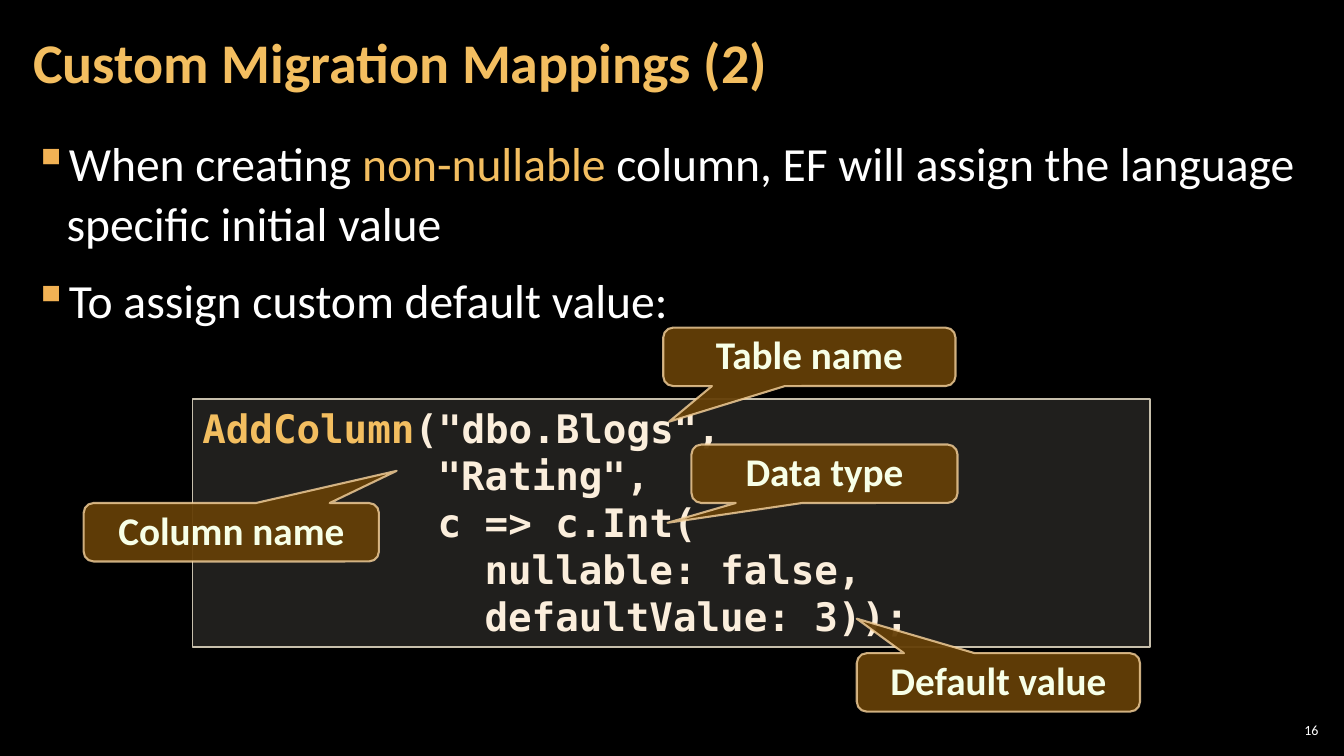
"""Builds the slide on custom migration mappings."""
import dataclasses

import pptx
import pptx.dml.color
import pptx.enum.shapes
import pptx.enum.text
import pptx.oxml
import pptx.oxml.ns
import pptx.util

Pt = pptx.util.Pt
Align = pptx.enum.text.PP_ALIGN
Anchor = pptx.enum.text.MSO_ANCHOR
Shape = pptx.enum.shapes.MSO_SHAPE
qn = pptx.oxml.ns.qn


@dataclasses.dataclass(frozen=True)
class Theme:
    back: str = "000000"
    white: str = "FFFFFF"
    gold: str = "F3BE60"
    bullet: str = "F2B254"
    code: str = "FBEEDC"
    panel: str = "D9D5C7"
    edge: str = "C7BFAC"
    note: str = "643F07"
    rim: str = "F8D49E"
    label: str = "F7FFE7"
    sans: str = "Calibri"
    mono: str = "DejaVu Sans Mono"
    title: int = 40
    body: int = 34
    small: int = 28
    tiny: int = 10


class Deck:
    def __init__(self, theme):
        self.theme = theme
        self.show = pptx.Presentation()
        self.show.slide_width, self.show.slide_height = Pt(960), Pt(540)
        self.slide = self.show.slides.add_slide(self.show.slide_layouts[6])
        self.paint(self.slide.background.fill, theme.back)

    def color(self, code):
        return pptx.dml.color.RGBColor.from_string(code)

    def paint(self, fill, code, alpha=100):
        fill.solid()
        fill.fore_color.rgb = self.color(code)
        if alpha < 100:
            tone = fill._xPr.find(qn("a:solidFill"))[0]
            tone.append(self.node("alpha", val=alpha * 1000))

    def node(self, tag, **attrs):
        item = pptx.oxml.parse_xml(f'<a:{tag} {pptx.oxml.ns.nsdecls("a")}/>')
        for name, value in attrs.items():
            item.set(name, str(value))
        return item

    def ink(self, para, parts, size, font, bold=False):
        for text, code in parts:
            run = para.add_run()
            run.text = text
            run.font.size, run.font.name = Pt(size), font
            run.font.bold = bold
            run.font.color.rgb = self.color(code)

    def lines(self, frame, count):
        return [frame.paragraphs[0]] + [frame.add_paragraph() for _ in range(count - 1)]

    def indent(self, para, left, first=0):
        props = para._p.get_or_add_pPr()
        props.set("marL", str(Pt(left)))
        props.set("indent", str(Pt(first)))
        return props

    def text(self, box, side, anchor=Anchor.TOP):
        frame = self.slide.shapes.add_textbox(*map(Pt, box)).text_frame
        frame.word_wrap = True
        frame.vertical_anchor = anchor
        frame.margin_left = frame.margin_right = Pt(side)
        frame.margin_top = frame.margin_bottom = Pt(2.88)
        return frame

    def title(self, text, box):
        para = self.text(box, 8.64, Anchor.MIDDLE).paragraphs[0]
        para.line_spacing = 0.9
        self.ink(para, [(text, self.theme.gold)], self.theme.title, self.theme.sans, True)

    def number(self, text, box):
        para = self.text(box, 2.88, Anchor.MIDDLE).paragraphs[0]
        para.alignment = Align.RIGHT
        self.ink(para, [(text, self.theme.white)], self.theme.tiny, self.theme.sans)

    def bullets(self, items, box):
        frame = self.text(box, 8.64)
        for para, parts in zip(self.lines(frame, len(items)), items):
            para.line_spacing = 1.05
            para.space_before = para.space_after = Pt(6)
            props = self.indent(para, 23.76, -23.76)
            tone = self.node("buClr")
            tone.append(self.node("srgbClr", val=self.theme.bullet))
            props.append(tone)
            props.append(self.node("buChar", char="▪"))
            self.ink(para, parts, self.theme.body, self.theme.sans)

    def shape(self, kind, box, fill, line, width):
        item = self.slide.shapes.add_shape(kind, *map(Pt, box))
        item.shadow.inherit = False
        self.paint(item.fill, *fill)
        self.paint(item.line.fill, *line)
        item.line.width = Pt(width)
        frame = item.text_frame
        frame.word_wrap = True
        frame.auto_size = pptx.enum.text.MSO_AUTO_SIZE.SHAPE_TO_FIT_TEXT
        return item

    def listing(self, rows, box):
        look = self.theme
        item = self.shape(Shape.RECTANGLE, box, (look.panel, 15), (look.edge,), 1)
        frame = item.text_frame
        frame.vertical_anchor = Anchor.TOP
        for para, (depth, parts) in zip(self.lines(frame, len(rows)), rows):
            para.alignment = Align.LEFT
            self.indent(para, depth * look.small * 0.6)
            self.ink(para, parts, look.small, look.mono, True)

    def callout(self, text, left, top, width, tip):
        look = self.theme
        item = self.shape(Shape.ROUNDED_RECTANGULAR_CALLOUT, (left, top, width, 41.76),
                          (look.note, 95), (look.rim, 80), 1.5)
        for spot, value in enumerate((*tip, 0.17)):
            item.adjustments[spot] = value
        item.text_frame.vertical_anchor = Anchor.MIDDLE
        para = item.text_frame.paragraphs[0]
        para.alignment = Align.CENTER
        para.line_spacing = Pt(30)
        self.ink(para, [(text, look.label)], look.small, look.sans, True)


def main():
    look = Theme()
    deck = Deck(look)
    deck.number("16", (910.8, 514.08, 33.84, 15.12))
    deck.bullets([
        [("When creating ", look.white), ("non-nullable", look.gold),
         (" column, EF will assign the language specific initial value", look.white)],
        [("To assign custom default value:", look.white)],
    ], (15.12, 90.72, 929.52, 438.48))
    deck.title("Custom Migration Mappings (2)", (15.12, 2.88, 753.84, 87.12))
    deck.listing([
        (0, [("AddColumn", look.gold), ('("dbo.Blogs",', look.code)]),
        (10, [('"Rating",', look.code)]),
        (10, [("c => c.Int(", look.code)]),
        (12, [("nullable: false,", look.code)]),
        (12, [("defaultValue: 3));", look.code)]),
    ], (137.52, 285.12, 684, 177.12))
    for note in (
        ("Table name", 473.76, 234, 208.8, (-0.48, 1.11)),
        ("Column name", 59.76, 359.28, 210.96, (0.56, -1.05)),
        ("Data type", 493.92, 317.52, 190.08, (-0.59, 0.84)),
        ("Default value", 612, 466.56, 202.32, (-0.5, -1.09)),
    ):
        deck.callout(*note)
    deck.show.save("out.pptx")


if __name__ == "__main__":
    main()
